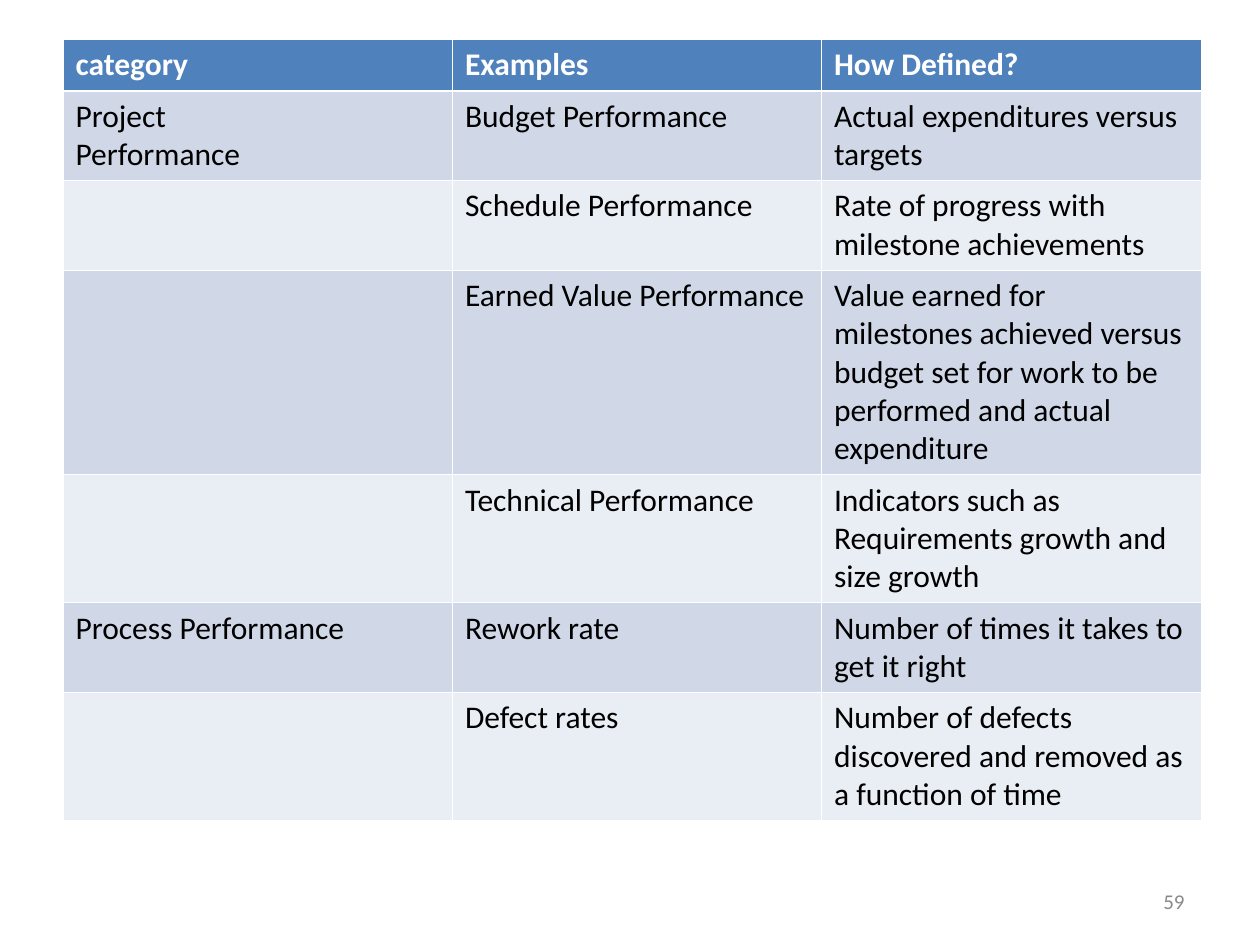
from dataclasses import dataclass

import pptx
import pptx.dml.color
import pptx.enum.text
import pptx.oxml
import pptx.oxml.ns
import pptx.util
from pptx.util import Cm


@dataclass(frozen=True)
class Theme:
    font: str = "Calibri"
    header_fill: str = "4F81BD"
    band_fills: tuple = ("D0D8E8", "E9EDF4")
    header_text: str = "FFFFFF"
    body_text: str = "000000"
    muted_text: str = "898989"
    border: str = "FFFFFF"
    table_size: int = 18
    number_size: int = 12
    thin_line: float = 0.45
    header_line: float = 1.47


THEME = Theme()

COLUMN_WIDTHS = (7.85, 7.44, 7.65)
ROW_HEIGHTS = (1.02, 1.78, 1.78, 4.06, 2.54, 1.78, 2.54)
ROWS = (
    ("category", "Examples", "How Defined?"),
    ("Project \nPerformance", "Budget Performance", "Actual expenditures versus targets"),
    ("", "Schedule Performance", "Rate of progress with milestone achievements"),
    ("", "Earned Value Performance",
     "Value earned for milestones achieved versus budget set for work to be "
     "performed and actual expenditure"),
    ("", "Technical Performance", "Indicators such as Requirements growth and size growth"),
    ("Process Performance", "Rework rate", "Number of times it takes to get it right"),
    ("", "Defect rates", "Number of defects discovered and removed as a function of time"),
)


def rgb(color):
    return pptx.dml.color.RGBColor.from_string(color)


def write_text(text_frame, text, *, size, color, bold=False, align=None):
    """Fill the first paragraph; a newline becomes a line break."""
    paragraph = text_frame.paragraphs[0]
    paragraph.text = text
    paragraph.alignment = align
    for run in paragraph.runs:
        run.font.name = THEME.font
        run.font.size = pptx.util.Pt(size)
        run.font.bold = bold
        run.font.color.rgb = rgb(color)


def add_borders(cell, *, top, bottom):
    """Draw all four cell edges; must run before the cell gets its fill."""
    properties = cell._tc.get_or_add_tcPr()
    widths = {"lnL": THEME.thin_line, "lnR": THEME.thin_line, "lnT": top, "lnB": bottom}
    for edge, width in widths.items():
        properties.append(pptx.oxml.parse_xml(
            f'<a:{edge} {pptx.oxml.ns.nsdecls("a")} w="{pptx.util.Pt(width)}">'
            f'<a:solidFill><a:srgbClr val="{THEME.border}"/></a:solidFill></a:{edge}>'
        ))


def format_cell(cell, text, row_index):
    is_header = row_index == 0
    add_borders(
        cell,
        top=THEME.header_line if row_index == 1 else THEME.thin_line,
        bottom=THEME.header_line if is_header else THEME.thin_line,
    )
    fill = THEME.header_fill if is_header else THEME.band_fills[(row_index - 1) % 2]
    cell.fill.solid()
    cell.fill.fore_color.rgb = rgb(fill)
    if text:
        write_text(
            cell.text_frame, text, size=THEME.table_size, bold=is_header,
            color=THEME.header_text if is_header else THEME.body_text,
        )


def add_measures_table(slide):
    table = slide.shapes.add_table(
        len(ROWS), len(COLUMN_WIDTHS), Cm(1.27), Cm(0.8),
        Cm(sum(COLUMN_WIDTHS)), Cm(sum(ROW_HEIGHTS)),
    ).table
    for column, width in zip(table.columns, COLUMN_WIDTHS):
        column.width = Cm(width)
    for row_index, (row, height, texts) in enumerate(zip(table.rows, ROW_HEIGHTS, ROWS)):
        row.height = Cm(height)
        for cell, text in zip(row.cells, texts):
            format_cell(cell, text, row_index)


def add_slide_number(slide, number):
    text_frame = slide.shapes.add_textbox(Cm(18.2), Cm(17.66), Cm(5.93), Cm(1.01)).text_frame
    text_frame.word_wrap = True
    text_frame.vertical_anchor = pptx.enum.text.MSO_ANCHOR.MIDDLE
    write_text(
        text_frame, str(number), size=THEME.number_size, color=THEME.muted_text,
        align=pptx.enum.text.PP_ALIGN.RIGHT,
    )


def main():
    presentation = pptx.Presentation()
    presentation.slide_width = Cm(25.4)
    presentation.slide_height = Cm(19.05)
    slide = presentation.slides.add_slide(presentation.slide_layouts[6])
    add_measures_table(slide)
    add_slide_number(slide, 59)
    presentation.save("out.pptx")


if __name__ == "__main__":
    main()
